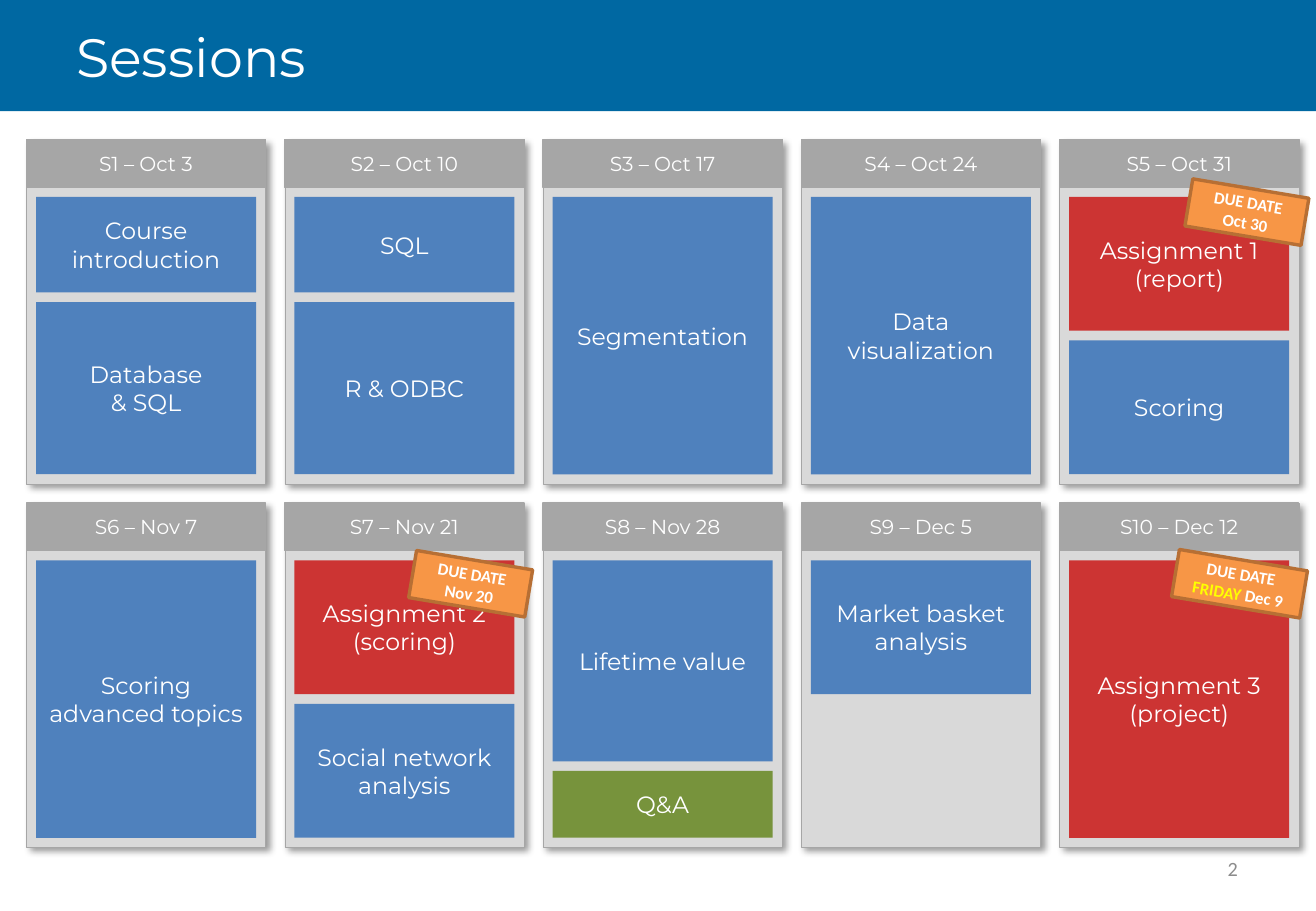
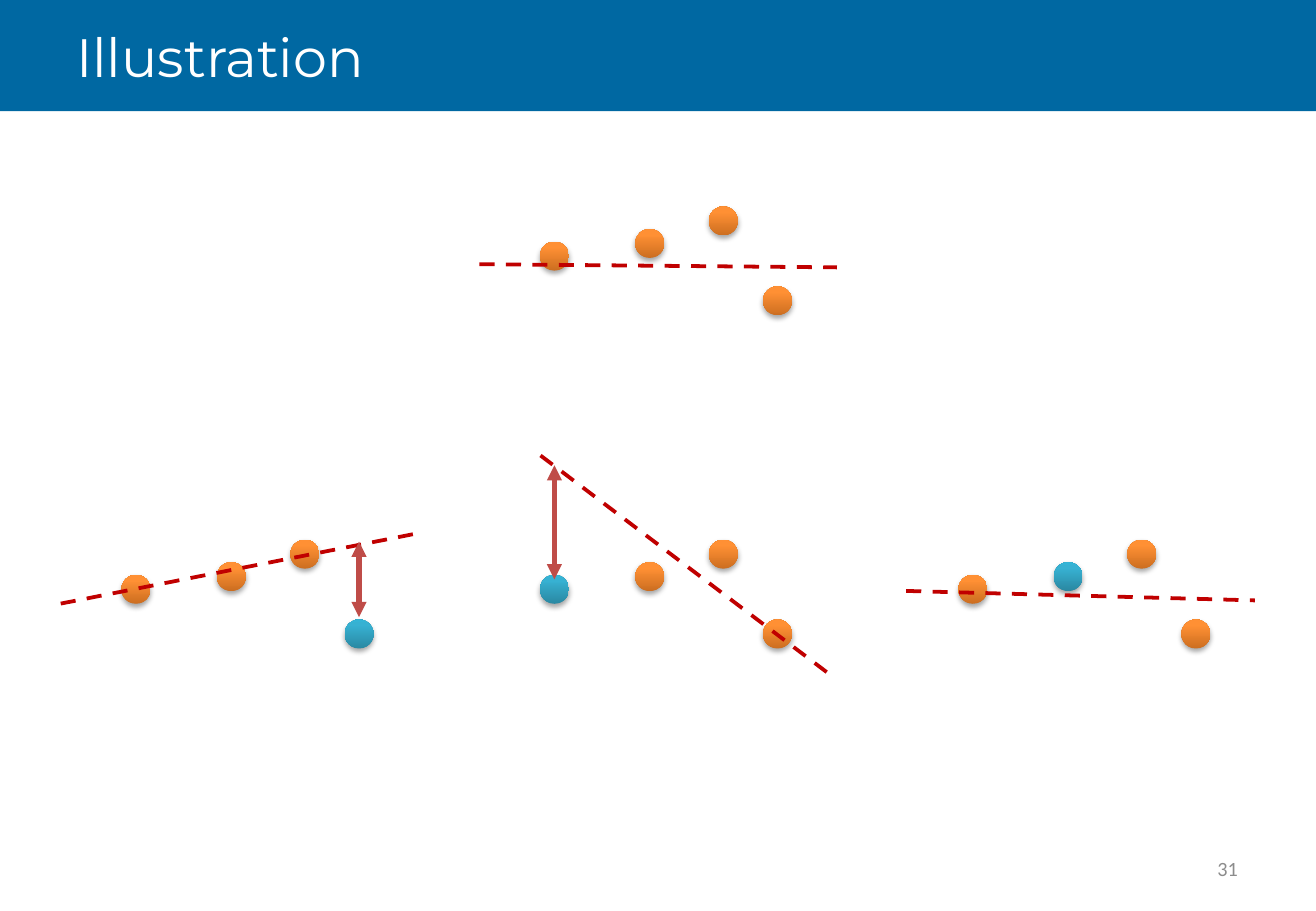
"""Build the course sessions board and the leave-one-out illustration."""
from copy import deepcopy
from dataclasses import dataclass
from typing import NamedTuple, Optional

from lxml.etree import SubElement
from pptx import Presentation
from pptx.dml.color import RGBColor as Rgb
from pptx.enum.dml import MSO_LINE_DASH_STYLE as Dash
from pptx.enum.shapes import MSO_CONNECTOR as Connector, MSO_SHAPE as Preset
from pptx.enum.text import MSO_ANCHOR as Anchor, PP_ALIGN as Align
from pptx.oxml.ns import qn
from pptx.util import Pt


@dataclass(frozen=True)
class Theme:
    heading_font: str = "Montserrat"
    body_font: str = "Calibri"
    title_size: int = 32
    block_size: int = 14
    label_size: int = 12
    sticker_size: int = 10
    white: str = "FFFFFF"
    band: str = "0068A2"
    number: str = "8C8C8C"
    card: str = "D9D9D9"
    header: str = "A6A6A6"
    topic: str = "4F81BD"
    assignment: str = "CC3433"
    questions: str = "77933C"
    sticker: str = "F79646"
    sticker_line: str = "B76F34"
    highlight: str = "FFFF00"
    fit: str = "C00000"
    residual: str = "BF4C48"
    kept_dot: tuple = ((0, "CC6E20"), (0.8, "FF9034"), (1, "FF9136"))
    held_out_dot: tuple = ((0, "2A88A2"), (0.8, "37B1D2"), (1, "34B4D6"))


class Box(NamedTuple):
    left: float
    top: float
    width: float
    height: float


class Shadow(NamedTuple):
    opacity: int
    blur: float
    distance: float
    angle: int


class Block(NamedTuple):
    text: str
    units: int
    color: str


class Session(NamedTuple):
    header: str
    blocks: tuple


class Sticker(NamedTuple):
    box: Box
    date: str


class Panel(NamedTuple):
    column: int
    top: float
    fit: tuple
    held_out: Optional[int] = None
    residual: Optional[tuple] = None


THEME = Theme()
SLIDE_WIDTH, SLIDE_HEIGHT, BAND_HEIGHT = 780, 540, 66
UNIT = 5.67
GRID_LEFT, GRID_TOP, COLUMNS = 15.7, 82.7, 5
CARD_WIDTH, CARD_HEIGHT, HEADER_HEIGHT = 25 * UNIT, 36 * UNIT, 5 * UNIT
COLUMN_PITCH, ROW_PITCH = 27 * UNIT, 38 * UNIT
CARD_SHADOW = Shadow(40, 4, 3, 45)
DOT_SHADOW = Shadow(35, 3.1, 1.8, 90)
DOT_SIZE = 17.2
DOT_OFFSETS = ((0, 0), (56.5, -7.5), (100.1, -20.8), (132.2, 26.5))
PANEL_LEFT, PANEL_PITCH = 72, 248


def topic(text: str, units: int) -> Block:
    return Block(text, units, THEME.topic)


def assignment(text: str, units: int) -> Block:
    return Block(text, units, THEME.assignment)


SESSIONS = (
    Session("S1 – Oct 3", (topic("Course introduction", 10), topic("Database\n& SQL", 18))),
    Session("S2 – Oct 10", (topic("SQL", 10), topic("R & ODBC", 18))),
    Session("S3 – Oct 17", (topic("Segmentation", 29),)),
    Session("S4 – Oct 24", (topic("Data\nvisualization", 29),)),
    Session("S5 – Oct 31", (assignment("Assignment 1\n(report)", 14), topic("Scoring", 14))),
    Session("S6 – Nov 7", (topic("Scoring\nadvanced topics", 29),)),
    Session("S7 – Nov 21", (assignment("Assignment 2\n(scoring)", 14),
                            topic("Social network analysis", 14))),
    Session("S8 – Nov 28", (topic("Lifetime value", 21), Block("Q&A", 7, THEME.questions))),
    Session("S9 – Dec 5", (topic("Market basket analysis", 14),)),
    Session("S10 – Dec 12", (assignment("Assignment 3\n(project)", 29),)),
)
STICKERS = (
    Sticker(Box(704.2, 111.6, 69.8, 28.35), "Oct 30"),
    Sticker(Box(696.2, 331.9, 77, 28.35), "FRIDAY Dec 9"),
    Sticker(Box(244.1, 331.9, 69.8, 28.35), "Nov 20"),
)
PANELS = (
    Panel(1, 143.2, (284.2, 156.6, 496.1, 158.5)),
    Panel(0, 340.7, (36, 357.8, 251.3, 315.4), 3, (321.1, 365.8)),
    Panel(1, 340.7, (320.4, 270, 492.5, 400.3), 0, (275.8, 343.4)),
    Panel(2, 340.7, (537.1, 350.3, 743.8, 355.9), 1),
)


def write(shape, text: str, *, size: int, color: str = THEME.white,
          font: str = THEME.heading_font, bold: bool = False,
          align: Align = Align.CENTER, highlight: str = "") -> None:
    frame = shape.text_frame
    frame.word_wrap = True
    frame.vertical_anchor = Anchor.MIDDLE
    for index, line in enumerate(text.split("\n")):
        paragraph = frame.add_paragraph() if index else frame.paragraphs[0]
        paragraph.alignment = align
        pieces = line.partition(highlight) if highlight else (line,)
        for piece in filter(None, pieces):
            run = paragraph.add_run()
            run.text = piece
            run.font.name, run.font.size, run.font.bold = font, Pt(size), bold
            run.font.color.rgb = Rgb.from_string(
                THEME.highlight if piece == highlight else color)


def add_box_text(slide, box: Box, text: str, **text_format) -> None:
    write(slide.shapes.add_textbox(*map(Pt, box)), text, **text_format)


def add_shadow(shape, shadow: Shadow) -> None:
    effects = shape._element.spPr.find(qn("a:effectLst"))
    outer = SubElement(effects, qn("a:outerShdw"), blurRad=str(Pt(shadow.blur)),
                       dist=str(Pt(shadow.distance)), dir=str(shadow.angle * 60000),
                       rotWithShape="0")
    black = SubElement(outer, qn("a:srgbClr"), val="000000")
    SubElement(black, qn("a:alpha"), val=str(shadow.opacity * 1000))


def add_rectangle(slide, box: Box, fill: str, line: str = "", line_width: float = 0.75):
    shape = slide.shapes.add_shape(Preset.RECTANGLE, *map(Pt, box))
    shape.shadow.inherit = False
    shape.fill.solid()
    shape.fill.fore_color.rgb = Rgb.from_string(fill)
    if line:
        shape.line.color.rgb = Rgb.from_string(line)
        shape.line.width = Pt(line_width)
    else:
        shape.line.fill.background()
    return shape


def add_dot(slide, left: float, top: float, gradient: tuple) -> None:
    dot = slide.shapes.add_shape(Preset.OVAL, *map(Pt, (left, top, DOT_SIZE, DOT_SIZE)))
    dot.shadow.inherit = False
    add_shadow(dot, DOT_SHADOW)
    dot.line.fill.background()
    dot.fill.gradient()
    dot.fill.gradient_angle = 90
    stop_list = dot._element.spPr.find(f"{qn('a:gradFill')}/{qn('a:gsLst')}")
    stop_list.append(deepcopy(stop_list[-1]))
    for stop, (position, color) in zip(dot.fill.gradient_stops, gradient):
        stop.position = position
        stop.color.rgb = Rgb.from_string(color)


def add_line(slide, ends: tuple, color: str, width: float,
             dashed: bool = False, arrows: bool = False) -> None:
    connector = slide.shapes.add_connector(Connector.STRAIGHT, *map(Pt, ends))
    connector.line.color.rgb = Rgb.from_string(color)
    connector.line.width = Pt(width)
    if dashed:
        connector.line.dash_style = Dash.DASH
    properties = connector._element.spPr
    if arrows:
        for end in ("a:headEnd", "a:tailEnd"):
            SubElement(properties.find(qn("a:ln")), qn(end), type="triangle")
    SubElement(properties, qn("a:effectLst"))


def add_slide(presentation, title: str, number: str):
    slide = presentation.slides.add_slide(presentation.slide_layouts[6])
    add_rectangle(slide, Box(0, 0, SLIDE_WIDTH, BAND_HEIGHT), THEME.band)
    add_box_text(slide, Box(38, 0, 702, BAND_HEIGHT), title,
                 size=THEME.title_size, align=Align.LEFT)
    add_box_text(slide, Box(558.7, 500.5, 182, 28.75), number, size=THEME.label_size,
                 color=THEME.number, font=THEME.body_font, align=Align.RIGHT)
    return slide


def add_session(slide, index: int, session: Session) -> None:
    row, column = divmod(index, COLUMNS)
    left = GRID_LEFT + column * COLUMN_PITCH
    top = GRID_TOP + row * ROW_PITCH
    card = add_rectangle(slide, Box(left, top, CARD_WIDTH, CARD_HEIGHT),
                         THEME.card, THEME.header, 0.25)
    add_shadow(card, CARD_SHADOW)
    header = add_rectangle(slide, Box(left, top, CARD_WIDTH, HEADER_HEIGHT),
                           THEME.header, THEME.header)
    write(header, session.header, size=THEME.label_size)
    block_top = top + HEADER_HEIGHT + UNIT
    for block in session.blocks:
        height = block.units * UNIT
        box = Box(left + UNIT, block_top, CARD_WIDTH - 2 * UNIT, height)
        write(add_rectangle(slide, box, block.color), block.text, size=THEME.block_size)
        block_top += height + UNIT


def add_sticker(slide, sticker: Sticker) -> None:
    shape = add_rectangle(slide, sticker.box, THEME.sticker, THEME.sticker_line, 2)
    shape.rotation = 9.5
    write(shape, f"DUE DATE\n{sticker.date}", size=THEME.sticker_size,
          font=THEME.body_font, bold=True, highlight="FRIDAY")


def add_panel(slide, panel: Panel) -> None:
    left = PANEL_LEFT + panel.column * PANEL_PITCH
    for index, (across, down) in enumerate(DOT_OFFSETS):
        gradient = THEME.held_out_dot if index == panel.held_out else THEME.kept_dot
        add_dot(slide, left + across, panel.top + down, gradient)
    add_line(slide, panel.fit, THEME.fit, 2.25, dashed=True)
    if panel.residual:
        center = left + DOT_OFFSETS[panel.held_out][0] + DOT_SIZE / 2
        start, end = panel.residual
        add_line(slide, (center, start, center, end), THEME.residual, 3, arrows=True)


def main() -> None:
    presentation = Presentation()
    presentation.slide_width, presentation.slide_height = Pt(SLIDE_WIDTH), Pt(SLIDE_HEIGHT)
    sessions_slide = add_slide(presentation, "Sessions", "2")
    for index, session in enumerate(SESSIONS):
        add_session(sessions_slide, index, session)
    for sticker in STICKERS:
        add_sticker(sessions_slide, sticker)
    illustration_slide = add_slide(presentation, "Illustration", "31")
    for panel in PANELS:
        add_panel(illustration_slide, panel)
    presentation.save("out.pptx")


if __name__ == "__main__":
    main()
